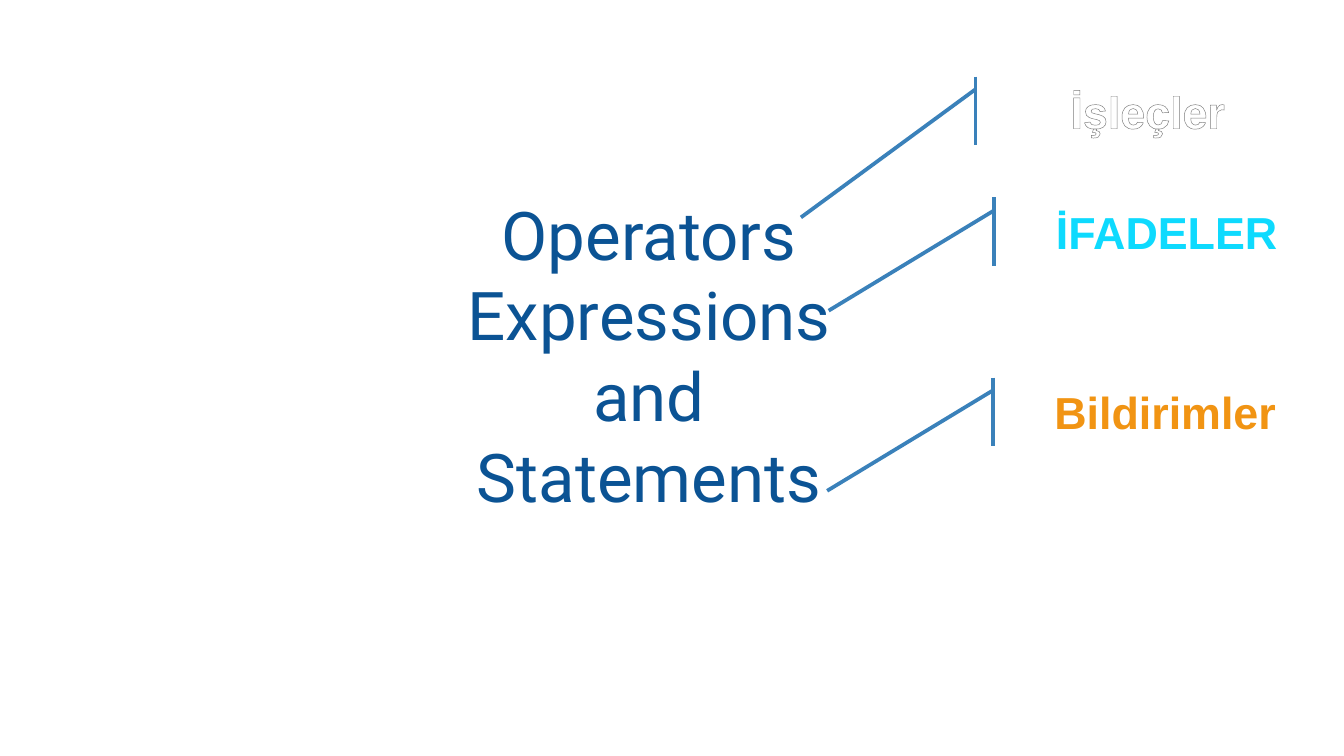
from dataclasses import dataclass

from lxml.etree import SubElement
from pptx import Presentation
from pptx.dml.color import RGBColor
from pptx.enum.shapes import MSO_SHAPE
from pptx.enum.text import MSO_ANCHOR, MSO_AUTO_SIZE, PP_ALIGN
from pptx.oxml.ns import qn
from pptx.slide import Slide
from pptx.util import Pt


@dataclass(frozen=True)
class Theme:
    title_font: str = "Roboto"
    label_font: str = "Arial"
    title_size: int = 36
    label_size: int = 24
    title: str = "0B5394"
    line: str = "3A81BA"
    paper: str = "FFFFFF"
    line_width: float = 2


@dataclass(frozen=True)
class Callout:
    text: str
    left: float
    top: float
    tip: tuple[float, float]  # y and x, as shares of height and width
    gradient: tuple[tuple[int, str], ...]
    outline: tuple[str, float] | None = None


THEME = Theme()
CALLOUT_SIZE = (158.4, 36.7)
BAR_START = (0.188, -0.083)
CALLOUTS = (
    Callout("İşleçler", 535.7, 41, (2.057, -0.673),
            ((0, "FFFFFF"), (9, "FFFFFF"), (50, "7F7F7F"), (79, "FFFFFF"), (100, "FFFFFF")),
            ("7D7D7D", 0.83)),
    Callout("İFADELER", 545.8, 105.8, (1.652, -0.643),
            ((0, "096B7C"), (43, "0EDAFE"), (48, "0DCBED"), (100, "096B7C")),
            ("39808D", 0.71)),
    Callout("Bildirimler", 545, 202.3, (1.652, -0.643),
            ((0, "FFC481"), (75, "F19413"), (100, "CA8200"))),
)


def rgb(color: str) -> RGBColor:
    return RGBColor.from_string(color)


def style_run(r, callout: Callout) -> None:
    """Give the letters a vertical gradient and, if asked for, an outline."""
    r_pr = r._r.get_or_add_rPr()
    if callout.outline:
        color, width = callout.outline
        ln = SubElement(r_pr, qn("a:ln"), w=str(int(Pt(width))))
        fill = SubElement(ln, qn("a:solidFill"))
        SubElement(fill, qn("a:srgbClr"), val=color)
    grad = SubElement(r_pr, qn("a:gradFill"))
    stops = SubElement(grad, qn("a:gsLst"))
    for share, color in callout.gradient:
        stop = SubElement(stops, qn("a:gs"), pos=str(share * 1000))
        SubElement(stop, qn("a:srgbClr"), val=color)
    SubElement(grad, qn("a:lin"), ang=str(90 * 60000), scaled="0")


def add_title(slide: Slide, text: str) -> None:
    sp = slide.shapes.title
    sp.left, sp.top, sp.width, sp.height = Pt(212.4), Pt(81.4), Pt(270.7), Pt(216.7)
    tf = sp.text_frame
    tf.word_wrap = True
    tf.auto_size = MSO_AUTO_SIZE.NONE
    tf.vertical_anchor = MSO_ANCHOR.MIDDLE
    tf.margin_left = tf.margin_right = tf.margin_top = tf.margin_bottom = Pt(7.2)
    p = tf.paragraphs[0]
    p.text = text
    p.alignment = PP_ALIGN.CENTER
    p.line_spacing = 1.0
    p.font.name, p.font.size = THEME.title_font, Pt(THEME.title_size)
    p.font.color.rgb = rgb(THEME.title)


def add_callout(slide: Slide, callout: Callout) -> None:
    width, height = CALLOUT_SIZE
    sp = slide.shapes.add_shape(MSO_SHAPE.LINE_CALLOUT_1_ACCENT_BAR, Pt(callout.left),
                                Pt(callout.top), Pt(width), Pt(height))
    for i, value in enumerate(BAR_START + callout.tip):
        sp.adjustments[i] = value
    sp.shadow.inherit = False
    sp.fill.solid()
    sp.fill.fore_color.rgb = rgb(THEME.paper)
    sp.line.color.rgb = rgb(THEME.line)
    sp.line.width = Pt(THEME.line_width)
    tf = sp.text_frame
    tf.word_wrap = True
    tf.vertical_anchor = MSO_ANCHOR.MIDDLE
    p = tf.paragraphs[0]
    p.alignment = PP_ALIGN.CENTER
    p.font.name, p.font.size, p.font.bold = THEME.label_font, Pt(THEME.label_size), True
    r = p.add_run()
    r.text = callout.text
    style_run(r, callout)


def main() -> None:
    prs = Presentation()
    prs.slide_width, prs.slide_height = Pt(720), Pt(405)
    slide = prs.slides.add_slide(prs.slide_layouts[0])
    subtitle = slide.placeholders[1].element
    subtitle.getparent().remove(subtitle)
    add_title(slide, "Operators Expressions and\vStatements")
    for callout in CALLOUTS:
        add_callout(slide, callout)
    prs.save("out.pptx")


if __name__ == "__main__":
    main()
